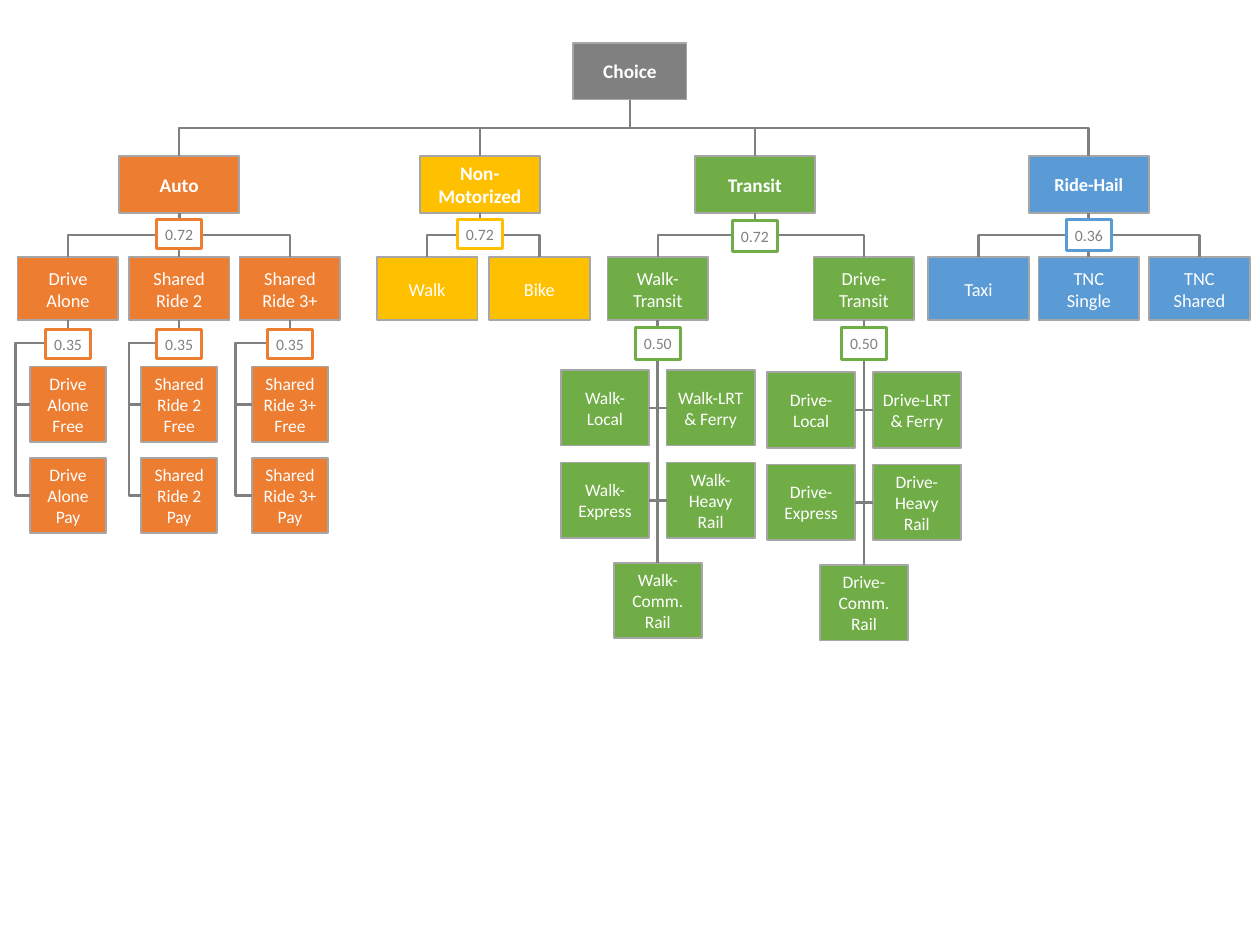
from lxml.etree import SubElement
from pptx import Presentation
from pptx.dml.color import RGBColor
from pptx.enum.shapes import MSO_CONNECTOR, MSO_SHAPE
from pptx.enum.text import MSO_ANCHOR, PP_ALIGN
from pptx.oxml.ns import qn
from pptx.util import Pt

GREY, EDGE, WHITE = "808080", "A6A6A6", "FFFFFF"
ORANGE, GOLD, GREEN, BLUE = "ED7D31", "FFC000", "70AD47", "5B9BD5"

deck = Presentation()
deck.slide_width, deck.slide_height = Pt(720), Pt(540)
shapes = deck.slides.add_slide(deck.slide_layouts[6]).shapes


def box(text, mid, top, wide, high, fill, size, bold=False,
        edge=EDGE, line=1, ink=WHITE, pad=7.2):
    """Draw a text box centred on mid, in points."""
    node = shapes.add_shape(MSO_SHAPE.RECTANGLE, Pt(mid - wide / 2), Pt(top),
                            Pt(wide), Pt(high))
    node.shadow.inherit = False
    node.fill.solid()
    node.fill.fore_color.rgb = RGBColor.from_string(fill)
    node.line.color.rgb = RGBColor.from_string(edge)
    node.line.width = Pt(line)
    frame = node.text_frame
    frame.text = text
    form = {"word_wrap": True, "vertical_anchor": MSO_ANCHOR.MIDDLE,
            "margin_left": Pt(pad), "margin_right": Pt(pad),
            "margin_top": Pt(3.6), "margin_bottom": Pt(3.6)}
    for name, value in form.items():
        setattr(frame, name, value)
    para = frame.paragraphs[0]
    para.alignment = PP_ALIGN.CENTER
    font = para.runs[0].font
    for name, value in {"name": "Calibri", "size": Pt(size), "bold": bold}.items():
        setattr(font, name, value)
    font.color.rgb = RGBColor.from_string(ink)


def wire(x1, y1, x2, y2, bends=3, **turns):
    """Link two points downwards; a bent link leaves its start vertically."""
    if x1 == x2:
        link = shapes.add_connector(MSO_CONNECTOR.STRAIGHT, Pt(x1), Pt(y1), Pt(x2), Pt(y2))
    else:
        # The frame lies on its side and is turned upright about its centre.
        x, y = (x1 + x2) / 2, (y1 + y2) / 2
        wide, high = y2 - y1, abs(x2 - x1)
        link = shapes.add_connector(MSO_CONNECTOR.ELBOW, Pt(x - wide / 2), Pt(y - high / 2),
                                    Pt(x + wide / 2), Pt(y + high / 2))
        frame = link.element.spPr.find(qn("a:xfrm"))
        frame.set("rot", "5400000" if x2 < x1 else "16200000")
        if x2 > x1:
            frame.set("flipH", "1")
        shape = link.element.spPr.find(qn("a:prstGeom"))
        shape.set("prst", f"bentConnector{bends}")
        guides = shape.find(qn("a:avLst"))
        for name, part in turns.items():
            SubElement(guides, qn("a:gd"), name=name, fmla=f"val {round(part * 100000)}")
    link.line.color.rgb = RGBColor.from_string(GREY)
    link.line.width = Pt(1.5)
    SubElement(link.element.spPr, qn("a:effectLst"))


# Mode: text, centre, colour, size, score, tag height, options by centre
modes = [
    ("Auto", 102.4, ORANGE, 11, "0.72", 16.6,
     {"Drive Alone": 38.9, "Shared Ride 2": 102.4, "Shared Ride 3+": 165.7}),
    ("Non-Motorized", 274.2, GOLD, 11, "0.72", 16.6, {"Walk": 244.1, "Bike": 308.2}),
    ("Transit", 431.4, GREEN, 11, "0.72", 18,
     {"Walk-Transit": 375.9, "Drive-Transit": 493.7}),
    ("Ride-Hail", 622.2, BLUE, 10.5, "0.36", 18,
     {"Taxi": 559.2, "TNC Single": 622.2, "TNC Shared": 685.4}),
]
reach = {"Drive Alone": 30.2, "Shared Ride 2": 28.8, "Shared Ride 3+": 31.2}
ROOT, ROW, FOOT, KID, BASE = 360, 89.3, 121.7, 147, 183
tags = []

box("Choice", ROOT, 24.5, 64.8, 32.4, GREY, 11, True)
for text, mid, fill, size, score, high, kids in modes:
    box(text, mid, ROW, 68.4, 32.4, fill, size, True)
    wire(ROOT, 56.9, mid, ROW)
    tags.append((score, mid, 126 if fill == GREEN else 125.3, high, fill))
    for kid, spot in kids.items():
        box(kid, spot, KID, 57.6, 36, fill, 10.5)
        wire(mid, FOOT, spot, KID)
        if fill == ORANGE:
            tags.append(("0.35", spot, 188.2, 16.6, fill))
            for kind, top in (("Free", 209.4), ("Pay", 261.6)):
                box(f"{kid} {kind}", spot, top, 43.2, 43.2, fill, 10, pad=5)
                wire(spot, BASE, spot - 21.6, top + 21.6, 4,
                     adj1=13 / (top + 21.6 - BASE), adj2=reach[kid] / 21.6)
        if fill == GREEN:
            tags.append(("0.50", spot, 187.2, 18, fill))
            way = kid.split("-")[0]
            drop = 1.2 if way == "Drive" else 0
            for row, pair in enumerate((("Local", "LRT & Ferry"), ("Express", "Heavy Rail"))):
                top = 211.5 + drop + 52.8 * row
                for side, leaf in zip((-1, 1), pair):
                    box(f"{way}-{leaf}", spot + side * 30.2, top, 50.4, 43.2, fill, 10, pad=5)
                    wire(spot, BASE, spot + side * 5, top + 21.6, 2)
            box(f"{way}-Comm. Rail", spot, 321.6 + drop, 50.4, 43.2, fill, 10, pad=5)
            wire(spot, BASE, spot, 321.6 + drop)

for score, mid, top, high, edge in tags:
    box(score, mid, top, 25.9, high, WHITE, 9, edge=edge, line=1.75, ink=GREY, pad=0)

deck.save("out.pptx")
